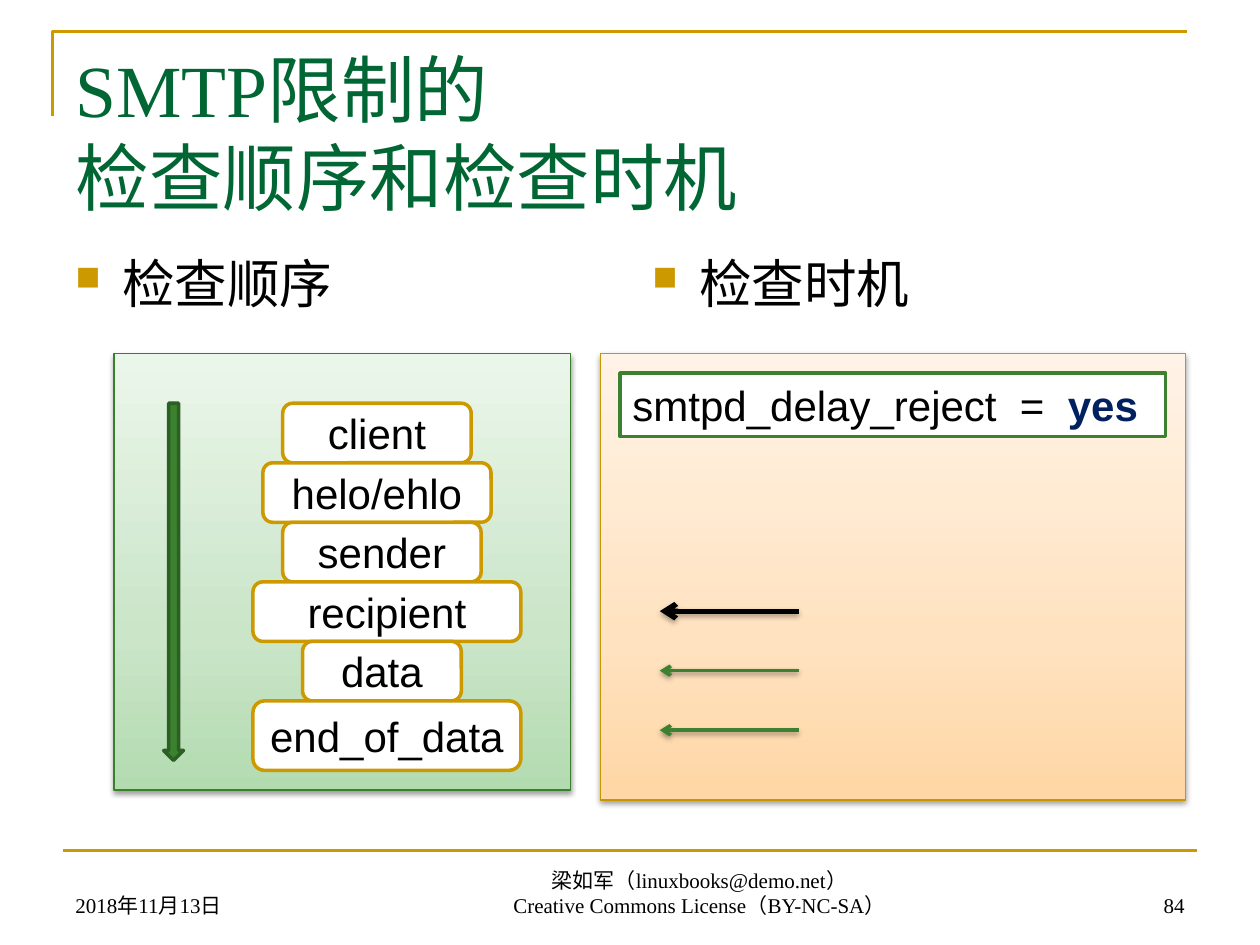
import copy

import lxml.etree
import pptx
import pptx.dml.color
import pptx.enum.shapes
import pptx.enum.text
import pptx.oxml.ns
import pptx.util

Cm = pptx.util.Cm
Pt = pptx.util.Pt
qn = pptx.oxml.ns.qn
ALIGN = pptx.enum.text.PP_ALIGN
ANCHOR = pptx.enum.text.MSO_ANCHOR
SHAPE = pptx.enum.shapes.MSO_SHAPE
STRAIGHT = pptx.enum.shapes.MSO_CONNECTOR.STRAIGHT

SERIF, SANS = "Times New Roman", "Arial"
GOLD, GREEN, BLACK, WHITE = "CC9900", "3B812F", "000000", "FFFFFF"
MARGIN, CONTENT_WIDTH = 1.27, 22.86
STEP_TOP, STEP_PITCH = 8.13, 1.2
STEPS = [  # label, left, width, height
    ("client", 5.7, 3.8, 1.2),
    ("helo/ehlo", 5.3, 4.6, 1.2),
    ("sender", 5.7, 4, 1.2),
    ("recipient", 5.1, 5.4, 1.2),
    ("data", 6.1, 3.2, 1.2),
    ("end_of_data", 5.1, 5.4, 1.4),
]


def rgb(value):
    return pptx.dml.color.RGBColor.from_string(value)


def add_element(parent, tag, **attributes):
    element = lxml.etree.SubElement(parent, qn(tag))
    for name, value in attributes.items():
        element.set(name, str(value))
    return element


def set_line(shape, color, width):
    shape.line.color.rgb = rgb(color)
    shape.line.width = Pt(width)


def set_shadow(shape, opacity=0, distance=1.6):
    """Replace the theme shadow; zero opacity leaves none. Call after set_line."""
    effects = add_element(shape._element.spPr, "a:effectLst")
    if opacity:
        shadow = add_element(effects, "a:outerShdw", blurRad=Pt(3.1), dist=Pt(distance),
                             dir=90 * 60000, rotWithShape=0)
        color = add_element(shadow, "a:srgbClr", val=BLACK)
        add_element(color, "a:alpha", val=opacity * 1000)


def format_paragraph(paragraph, size, font, color=BLACK, alignment=ALIGN.LEFT):
    paragraph.alignment = alignment
    for run in paragraph.runs:
        run.font.size = Pt(size)
        run.font.name = font
        run.font.color.rgb = rgb(color)


def set_title(slide, text):
    title = slide.shapes.title
    title.left, title.top = Cm(MARGIN), Cm(0.76)
    title.width, title.height = Cm(CONTENT_WIDTH), Cm(3.18)
    frame = title.text_frame
    frame.text = text
    frame.auto_size = pptx.enum.text.MSO_AUTO_SIZE.NONE
    frame.vertical_anchor = ANCHOR.TOP
    format_paragraph(frame.paragraphs[0], 42, SERIF, "006633")


def add_text(slide, text, left, top, width, height, size, font,
             alignment=ALIGN.LEFT, anchor=ANCHOR.TOP):
    box = slide.shapes.add_textbox(Cm(left), Cm(top), Cm(width), Cm(height))
    frame = box.text_frame
    frame.word_wrap = True
    frame.vertical_anchor = anchor
    frame.text = text
    for paragraph in frame.paragraphs:
        format_paragraph(paragraph, size, font, alignment=alignment)
    return box


def add_bullet_heading(slide, text, left):
    box = add_text(slide, text, left, 4.93, 11.23, 12.12, 30, SANS)
    properties = box.text_frame.paragraphs[0]._p.get_or_add_pPr()
    properties.set("marL", str(Cm(0.95)))
    properties.set("indent", str(-Cm(0.95)))
    color = add_element(properties, "a:buClr")
    add_element(color, "a:srgbClr", val=GOLD)
    add_element(properties, "a:buSzPct", val=65000)
    add_element(properties, "a:buChar", char="■")


def add_shape(slide, kind, left, top, width, height, fill, line, line_width=2):
    shape = slide.shapes.add_shape(kind, Cm(left), Cm(top), Cm(width), Cm(height))
    shape.fill.solid()
    shape.fill.fore_color.rgb = rgb(fill)
    set_line(shape, line, line_width)
    return shape


def add_panel(slide, left, width, height, colors, line):
    """Add a shadowed panel whose three colours run from bottom to top."""
    panel = add_shape(slide, SHAPE.RECTANGLE, left, 7.13, width, height, WHITE, line, 0.75)
    panel.fill.gradient()
    panel.fill.gradient_angle = 90
    stops = panel._element.spPr.find(".//" + qn("a:gsLst"))
    stops.append(copy.deepcopy(stops[-1]))
    for stop, color, position in zip(panel.fill.gradient_stops, colors, (0, 0.35, 1)):
        stop.color.rgb = rgb(color)
        stop.position = position
    set_shadow(panel, 38)


def add_step(slide, label, left, top, width, height):
    step = add_shape(slide, SHAPE.ROUNDED_RECTANGLE, left, top, width, height, WHITE, GOLD)
    set_shadow(step)
    frame = step.text_frame
    frame.text = label
    frame.word_wrap = True
    frame.vertical_anchor = ANCHOR.MIDDLE
    format_paragraph(frame.paragraphs[0], 24, SANS, alignment=ALIGN.CENTER)


def add_line(slide, start, end, y, color, width):
    line = slide.shapes.add_connector(STRAIGHT, Cm(start), Cm(y), Cm(end), Cm(y))
    set_line(line, color, width)
    return line


def add_arrow(slide, y, color, width, opacity, distance):
    arrow = add_line(slide, 16.1, 13.3, y, color, width)
    add_element(arrow._element.spPr.find(qn("a:ln")), "a:tailEnd", type="arrow")
    set_shadow(arrow, opacity, distance)


def add_page_rules(slide):
    left, top = 1.06, 0.64
    builder = slide.shapes.build_freeform(Cm(left), Cm(2.34))
    corner_points = [(Cm(left), Cm(top)), (Cm(left + CONTENT_WIDTH), Cm(top))]
    builder.add_line_segments(corner_points, close=False)
    corner = builder.convert_to_shape()
    corner.fill.background()
    set_line(corner, GOLD, 1.5)
    set_shadow(corner)
    set_shadow(add_line(slide, MARGIN, MARGIN + CONTENT_WIDTH, 17.15, GOLD, 1.5))


def add_footer(slide):
    for text, left, width, alignment in [
        ("2018年11月13日", MARGIN, 5.93, ALIGN.LEFT),
        ("梁如军（linuxbooks@demo.net）\nCreative Commons License（BY-NC-SA）",
         6.7, 14.8, ALIGN.CENTER),
        ("84", 18.2, 5.93, ALIGN.RIGHT),
    ]:
        add_text(slide, text, left, 17.35, width, 1.27, 12, SERIF, alignment, ANCHOR.BOTTOM)


def add_setting(slide):
    box = add_text(slide, "smtpd_delay_reject  =  ", 12.5, 7.52, 11, 1.28, 24, SANS)
    box.fill.solid()
    box.fill.fore_color.rgb = rgb(WHITE)
    set_line(box, GREEN, 2)
    paragraph = box.text_frame.paragraphs[0]
    paragraph.add_run().text = "yes"
    format_paragraph(paragraph, 24, SANS)
    paragraph.runs[1].font.bold = True
    paragraph.runs[1].font.color.rgb = rgb("002060")


def main():
    presentation = pptx.Presentation()
    presentation.slide_width, presentation.slide_height = Cm(25.4), Cm(19.05)
    slide = presentation.slides.add_slide(presentation.slide_layouts[5])
    add_page_rules(slide)
    set_title(slide, "SMTP限制的\v检查顺序和检查时机")
    add_bullet_heading(slide, "检查顺序", MARGIN)
    add_bullet_heading(slide, "检查时机", 12.9)
    add_footer(slide)

    add_panel(slide, 2.3, 9.2, 8.8, ("B3DBB0", "CAE5C8", "EBF6EA"), "38802C")
    for index, (label, left, width, height) in enumerate(STEPS):
        add_step(slide, label, left, STEP_TOP + index * STEP_PITCH, width, height)
    set_shadow(add_shape(slide, SHAPE.DOWN_ARROW, 3.3, STEP_TOP, 0.4, 7.2, GREEN, "2C5F23"))

    add_panel(slide, 12.1, 11.8, 9, ("FFD6A5", "FFE2BF", "FFF3E7"), "C89600")
    add_setting(slide)
    arrow_styles = [(BLACK, 3, 35, 1.8), (GREEN, 2, 38, 1.6), (GREEN, 2, 38, 1.6)]
    for index, style in enumerate(arrow_styles):
        add_arrow(slide, 12.32 + index * STEP_PITCH, *style)
    presentation.save("out.pptx")


if __name__ == "__main__":
    main()
